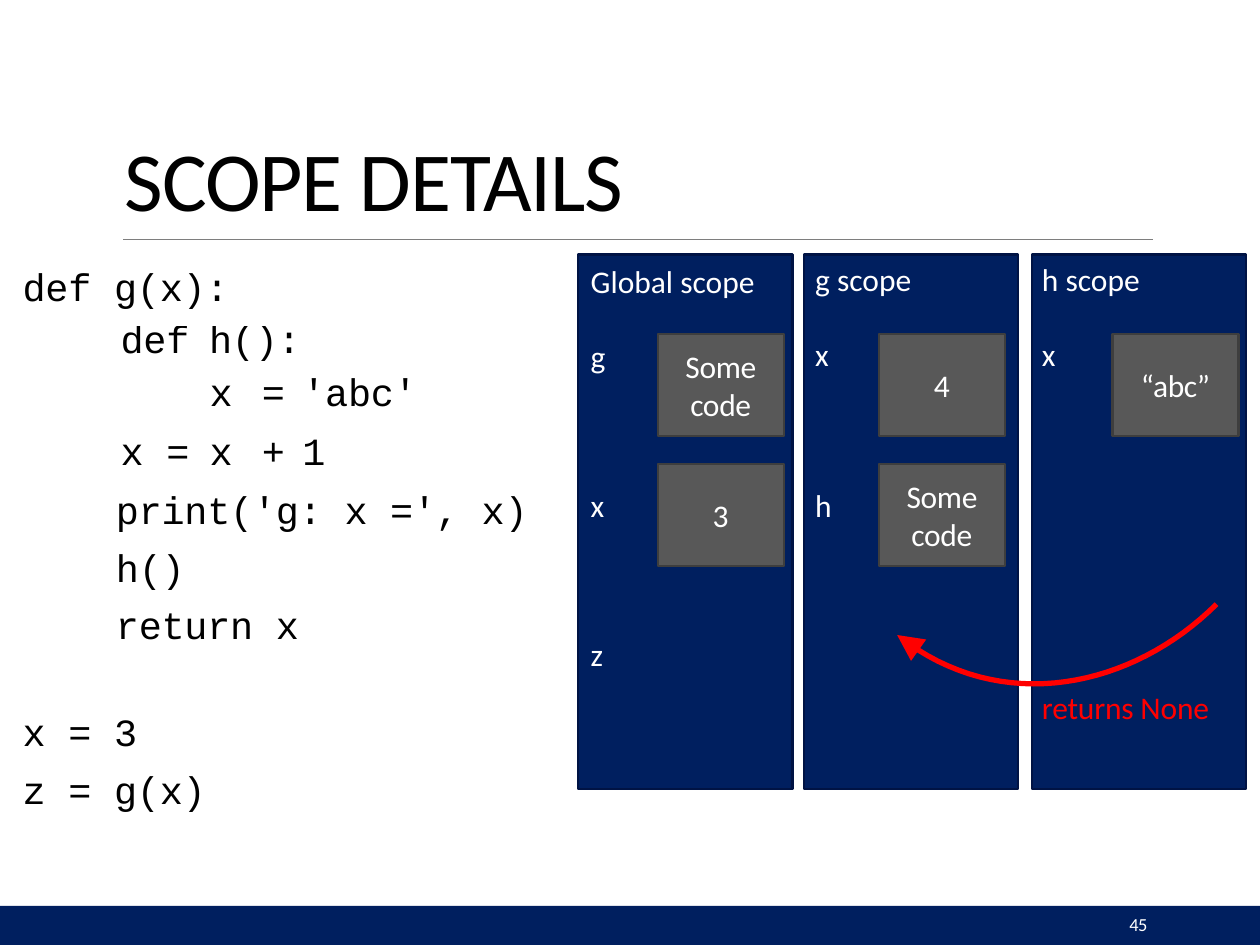
from lxml import etree
from pptx import Presentation
from pptx.dml.color import RGBColor
from pptx.enum.shapes import MSO_CONNECTOR, MSO_SHAPE
from pptx.enum.text import MSO_ANCHOR, MSO_AUTO_SIZE, PP_ALIGN
from pptx.oxml.ns import qn
from pptx.util import Inches, Pt

RECT, STRAIGHT = MSO_SHAPE.RECTANGLE, MSO_CONNECTOR.STRAIGHT
TOP, MIDDLE = MSO_ANCHOR.TOP, MSO_ANCHOR.MIDDLE
LEFT, CENTER = PP_ALIGN.LEFT, PP_ALIGN.CENTER
NO_AUTOSIZE = MSO_AUTO_SIZE.NONE

BLACK = RGBColor(0x00, 0x00, 0x00)
WHITE = RGBColor(0xFF, 0xFF, 0xFF)
RED = RGBColor(0xFF, 0x00, 0x00)
NAVY = RGBColor(0x00, 0x1F, 0x5F)
NAVY_EDGE = RGBColor(0x00, 0x13, 0x44)
GRAY = RGBColor(0x58, 0x58, 0x58)
GRAY_EDGE = RGBColor(0x3E, 0x3E, 0x3E)
RULE = RGBColor(0x7E, 0x7E, 0x7E)

SANS, MONO = "Calibri", "Courier New"
TITLE_ONLY = 5
COLS, ROWS = 100, 75  # grid cells across and down the slide


def write(tf, text, size=18, font=SANS, color=WHITE, align=LEFT,
          before=(), line=None, spc=0):
    """Fill a text frame, one paragraph a line; before lists the gaps in points."""
    for i, part in enumerate(text.split("\n")):
        p = tf.paragraphs[0] if i == 0 else tf.add_paragraph()
        p.alignment = align
        p.space_before = Pt(before[i - 1] if i else 0)
        if line:
            p.line_spacing = Pt(line)
        r = p.add_run()
        r.text = part
        r.font.size, r.font.name = Pt(size), font
        r.font.color.rgb = color
        if spc:
            r.font._element.set("spc", str(round(spc * 100)))


class Deck:
    def __init__(self):
        self.prs = Presentation()
        self.prs.slide_width, self.prs.slide_height = Inches(10), Inches(7.5)
        self.s = self.prs.slides.add_slide(self.prs.slide_layouts[TITLE_ONLY])

    def x(self, cols):
        return round(self.prs.slide_width * cols / COLS)

    def y(self, rows):
        return round(self.prs.slide_height * rows / ROWS)

    def box(self, left, top, width, height):
        return self.x(left), self.y(top), self.x(width), self.y(height)

    def frame(self, tf, anchor=TOP, left=0, top=0, right=0):
        tf.word_wrap, tf.auto_size = True, NO_AUTOSIZE
        tf.vertical_anchor = anchor
        tf.margin_left, tf.margin_right = self.x(left), self.x(right)
        tf.margin_top, tf.margin_bottom = self.y(top), 0
        return tf

    def title(self, text, *place):
        sp = self.s.shapes.title
        sp.left, sp.top, sp.width, sp.height = self.box(*place)
        write(self.frame(sp.text_frame, top=6.95), text, size=48,
              color=BLACK, spc=-0.65)

    def rect(self, *place, fill, edge=None):
        sp = self.s.shapes.add_shape(RECT, *self.box(*place))
        sp.shadow.inherit = False
        sp.fill.solid()
        sp.fill.fore_color.rgb = fill
        if edge is None:
            sp.line.fill.background()
        else:
            sp.line.color.rgb, sp.line.width = edge, Pt(1.25)
        return sp

    def text(self, text, *place, top=0.2, **style):
        sp = self.s.shapes.add_textbox(*self.box(*place))
        write(self.frame(sp.text_frame, top=top), text, **style)

    def value(self, text, left, top):
        sp = self.rect(left, top, 10, 8.1, fill=GRAY, edge=GRAY_EDGE)
        write(self.frame(sp.text_frame, MIDDLE, left=1.5, right=1.5), text,
              align=CENTER, spc=-0.2)

    def rule(self, x1, x2, y):
        line = self.s.shapes.add_connector(
            STRAIGHT, self.x(x1), self.y(y), self.x(x2), self.y(y))
        line.line.color.rgb, line.line.width = RULE, Pt(0.5)
        etree.SubElement(line._element.spPr, qn("a:effectLst"))

    def arrow(self, start, bend1, bend2, end, steps=32):
        """Draw a cubic curve as a polyline with an arrowhead at its end."""
        points = []
        for i in range(steps + 1):
            t = i / steps
            weights = ((1 - t) ** 3, 3 * t * (1 - t) ** 2,
                       3 * t ** 2 * (1 - t), t ** 3)
            cx, cy = (sum(w * c for w, c in zip(weights, axis))
                      for axis in zip(start, bend1, bend2, end))
            points.append((self.x(cx), self.y(cy)))
        curve = self.s.shapes.build_freeform(*points[0])
        curve.add_line_segments(points[1:], close=False)
        sp = curve.convert_to_shape()
        sp.shadow.inherit = False
        sp.fill.background()
        sp.line.color.rgb, sp.line.width = RED, Pt(3)
        etree.SubElement(sp.line._get_or_add_ln(), qn("a:tailEnd"),
                         type="triangle", w="lg", len="lg")

    def table(self, left, top, widths, heights, cells, lines, **style):
        """cells maps (row, column) to text and alignment."""
        place = self.box(left, top, sum(widths), sum(heights))
        table = self.s.shapes.add_table(len(heights), len(widths), *place).table
        table.first_row = table.horz_banding = False
        for col, width in zip(table.columns, widths):
            col.width = self.x(width)
        for row, height in zip(table.rows, heights):
            row.height = self.y(height)
        table.cell(0, 1).merge(table.cell(0, len(widths) - 1))
        for r in range(len(heights)):
            for c in range(len(widths)):
                cell = table.cell(r, c)
                cell.fill.background()
                cell.margin_left = cell.margin_right = 0
                cell.margin_top = cell.margin_bottom = 0
                text, align = cells.get((r, c), ("", LEFT))
                if (r, c) == (0, 1):
                    cell.margin_left = self.x(0.9)
                if r == 1:
                    cell.margin_top = self.y(0.4)
                if text:
                    write(cell.text_frame, text, align=align, line=lines[r], **style)
                else:
                    cell.text_frame.paragraphs[0].font.size = Pt(10)


def main():
    deck = Deck()
    code = dict(size=22, font=MONO, color=BLACK, spc=-0.1)

    # Title, rule and footer
    deck.rect(0, 71.9, COLS, 3.1, fill=NAVY)
    deck.rule(9.8, 91.5, 19)
    deck.title("SCOPE DETAILS", 9.9, 3.2, 80.3, 15.1)
    deck.text("45", 89.1, 71.9, 2.5, 2.4, top=0.6, size=10.5, spc=-0.2,
              align=CENTER)

    # Scope panels
    panels = [deck.rect(left, 20.2, 17, 42.4, fill=NAVY, edge=NAVY_EDGE)
              for left in (45.9, 63.8, 81.9)]
    write(deck.frame(panels[0].text_frame, left=1, top=0.6),
          "Global scope\ng\nx\nz", before=(21.2, 63.7, 63.7))
    for text, left, top, width in (
            ("g scope", 64.7, 20.4, 9), ("x", 64.7, 26.4, 2),
            ("h", 64.7, 38.4, 2), ("h scope", 82.7, 20.4, 9),
            ("x", 82.7, 26.4, 2)):
        deck.text(text, left, top, width, 3.3)

    # Values bound in each scope
    for text, left, top in (
            ("Some code", 52.2, 26.5), ("3", 52.2, 36.8),
            ("4", 69.75, 26.5), ("Some code", 69.75, 36.8),
            ("“abc”", 88.3, 26.5)):
        deck.value(text, left, top)

    # Return of h to g
    deck.arrow((96.55, 47.95), (90, 54.5), (79.5, 57), (71.2, 50.4))
    deck.text("returns None", 82.7, 54.4, 15, 3.3, color=RED, spc=-0.1)

    # Code
    deck.text("def g(x):", 1.8, 20.7, 17.5, 4, **code)
    deck.table(
        8.9, 25.8, (6.8, 3.7, 4.6, 9.6), (3.5, 4.9, 3.9),
        {(0, 0): ("def", CENTER), (0, 1): ("h():", LEFT),
         (1, 1): ("x", CENTER), (1, 2): ("=", CENTER), (1, 3): ("'abc'", LEFT),
         (2, 0): ("x =", CENTER), (2, 1): ("x", CENTER),
         (2, 2): ("+", CENTER), (2, 3): ("1", LEFT)},
        (22.8, None, 26.1), **code)
    deck.text("print('g: x =', x)\nh()\nreturn x", 9.2, 37.6, 34.5, 13.5,
              top=1, before=(6.5, 6.5), **code)
    deck.text("x = 3\nz = g(x)", 1.8, 55.2, 16, 9.1, top=1,
              before=(6.5,), **code)

    deck.prs.save("out.pptx")


if __name__ == "__main__":
    main()
